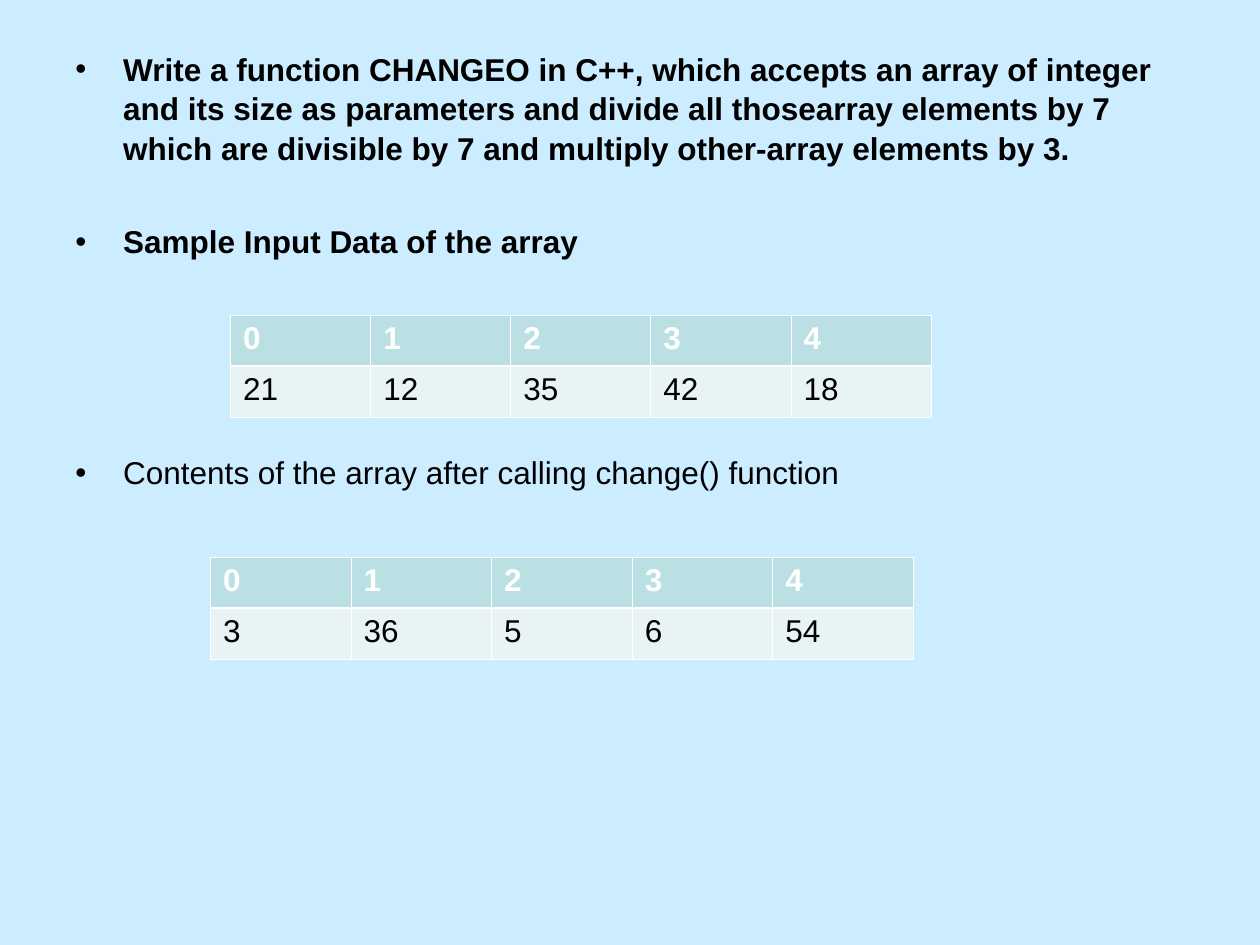
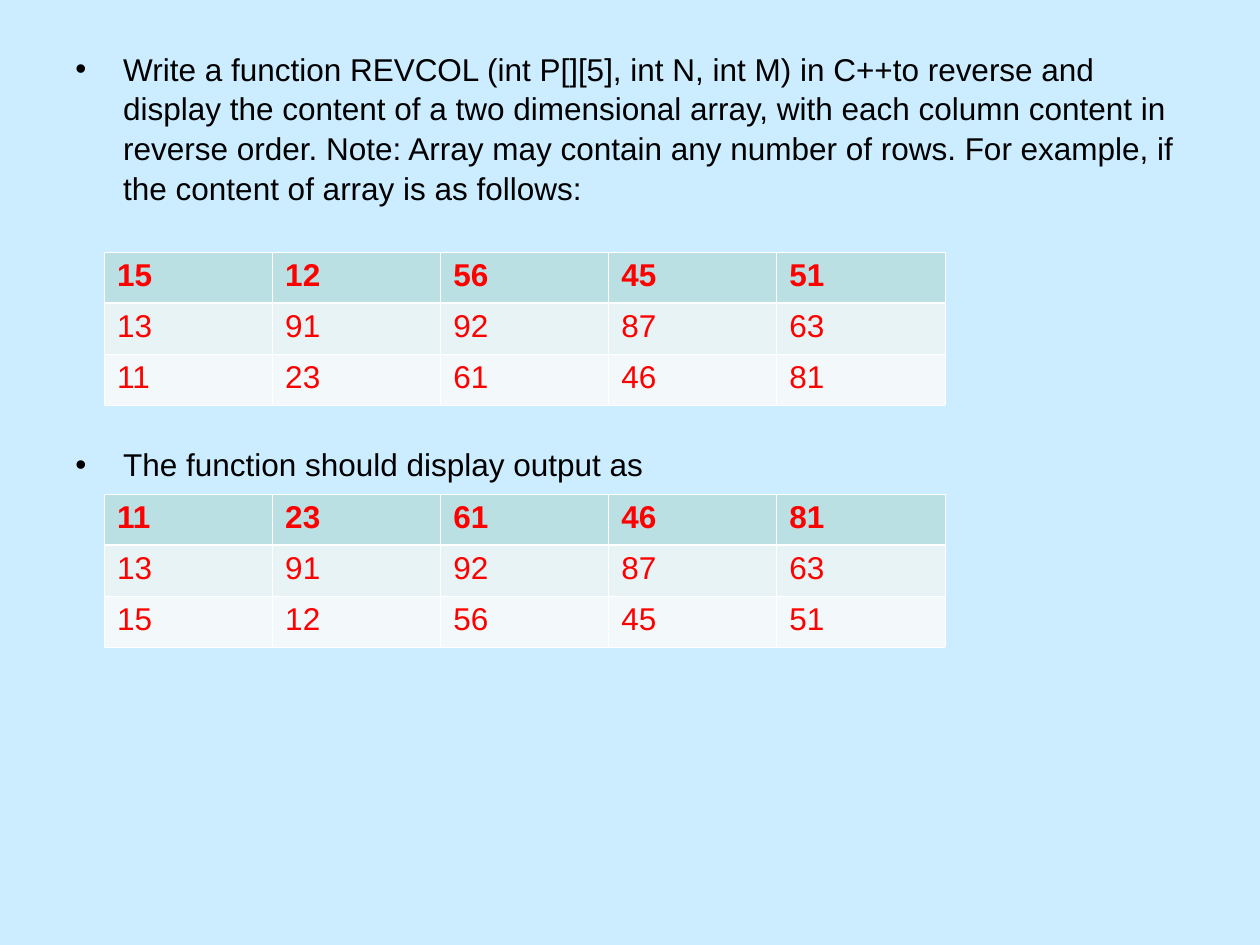
from lxml import etree
from pptx import Presentation
from pptx.dml.color import RGBColor as Rgb
from pptx.oxml.ns import qn
from pptx.util import Inches, Pt

COLORS = {
    "background": "CCECFF",
    "text": "000000",
    "red": "FF0000",
    "border": "FFFFFF",
    "header": "BBE0E3",
    "odd_row": "E7F3F4",
    "even_row": "F3F9FA",
}
FONT = "Arial"
ROW_HEIGHT = 0.405
LINE_SPACING = 1.05
LINE_POINTS = 21.7  # height of one text line
PARA_GAP = 4.5
THIN, THICK = 0.45, 1.47


def write_text(para, text, color="text", bold=False, size=18):
    span = para.add_run()
    span.text = text
    span.font.name = FONT
    span.font.size = Pt(size)
    span.font.bold = bold
    span.font.color.rgb = Rgb.from_string(COLORS[color])


def add_border(cell, side, width):
    line = etree.Element(qn(f"a:ln{side}"), w=str(Pt(width)))
    fill = etree.SubElement(line, qn("a:solidFill"))
    etree.SubElement(fill, qn("a:srgbClr"), val=COLORS["border"])
    # Borders come before the fill, in the order L, R, T, B
    cell_props = cell._tc.get_or_add_tcPr()
    cell_props.insert("LRTB".index(side), line)


# Bullets: text, bold, number of text lines left free above
# Tables: left, top, width, header colour, body colour, rows
matrix = [[15, 12, 56, 45, 51], [13, 91, 92, 87, 63], [11, 23, 61, 46, 81]]
indexes = [0, 1, 2, 3, 4]
slides = [
    {
        "bullets": [
            ("Write a function CHANGEO in C++, which accepts an array of integer "
             "and its size as parameters and divide all thosearray elements by 7 "
             "which are divisible by 7 and multiply other-array elements by 3.", True, 0),
            ("Sample Input Data of the array", True, 1),
            ("Contents of the array after calling change() function", False, 4),
        ],
        "tables": [
            (1.83, 2.5, 5.56, "border", "text", [indexes, [21, 12, 35, 42, 18]]),
            (1.67, 4.42, 5.58, "border", "text", [indexes, [3, 36, 5, 6, 54]]),
        ],
    },
    {
        "bullets": [
            ("Write a function REVCOL (int P[][5], int N, int M) in C++to reverse and "
             "display the content of a two dimensional array, with each column content "
             "in reverse order. Note: Array may contain any number of rows. For example, "
             "if the content of array is as follows:", False, 0),
            ("The function should display output as", False, 5),
        ],
        "tables": [
            (0.83, 2, 6.67, "red", "red", matrix),
            (0.83, 3.92, 6.67, "red", "red", matrix[::-1]),
        ],
    },
]

deck = Presentation()
deck.slide_width, deck.slide_height = Inches(10), Inches(7.5)

for content in slides:
    page = deck.slides.add_slide(deck.slide_layouts[6])
    page.background.fill.solid()
    page.background.fill.fore_color.rgb = Rgb.from_string(COLORS["background"])

    # Bulleted task text
    box = page.shapes.add_textbox(Inches(0.5), Inches(0.33), Inches(9), Inches(6.37))
    frame = box.text_frame
    frame.word_wrap = True
    for number, (text, bold, free_lines) in enumerate(content["bullets"]):
        para = frame.add_paragraph() if number else frame.paragraphs[0]
        para.line_spacing = LINE_SPACING
        if number:
            para.space_before = Pt(PARA_GAP + free_lines * (LINE_POINTS + PARA_GAP))
        para_props = para._p.get_or_add_pPr()
        para_props.set("marL", str(Inches(0.38)))
        para_props.set("indent", str(-Inches(0.38)))
        bullet_color = etree.SubElement(para_props, qn("a:buClr"))
        etree.SubElement(bullet_color, qn("a:srgbClr"), val=COLORS["text"])
        etree.SubElement(para_props, qn("a:buFont"), typeface=FONT)
        etree.SubElement(para_props, qn("a:buChar"), char="•")
        write_text(para, text, bold=bold)

    # Array tables
    for left, top, width, header_color, body_color, rows in content["tables"]:
        table = page.shapes.add_table(
            len(rows), len(rows[0]), Inches(left), Inches(top),
            Inches(width), Inches(ROW_HEIGHT * len(rows))).table
        table.first_row = table.horz_banding = False
        for row, values in enumerate(rows):
            for column, value in enumerate(values):
                cell = table.cell(row, column)
                cell.fill.solid()
                shade = ("header", "odd_row", "even_row")[row]
                cell.fill.fore_color.rgb = Rgb.from_string(COLORS[shade])
                add_border(cell, "L", THIN)
                add_border(cell, "R", THIN)
                add_border(cell, "T", THICK if row == 1 else THIN)
                add_border(cell, "B", THICK if row == 0 else THIN)
                write_text(cell.text_frame.paragraphs[0], str(value),
                           color=body_color if row else header_color, bold=row == 0)

deck.save("out.pptx")
